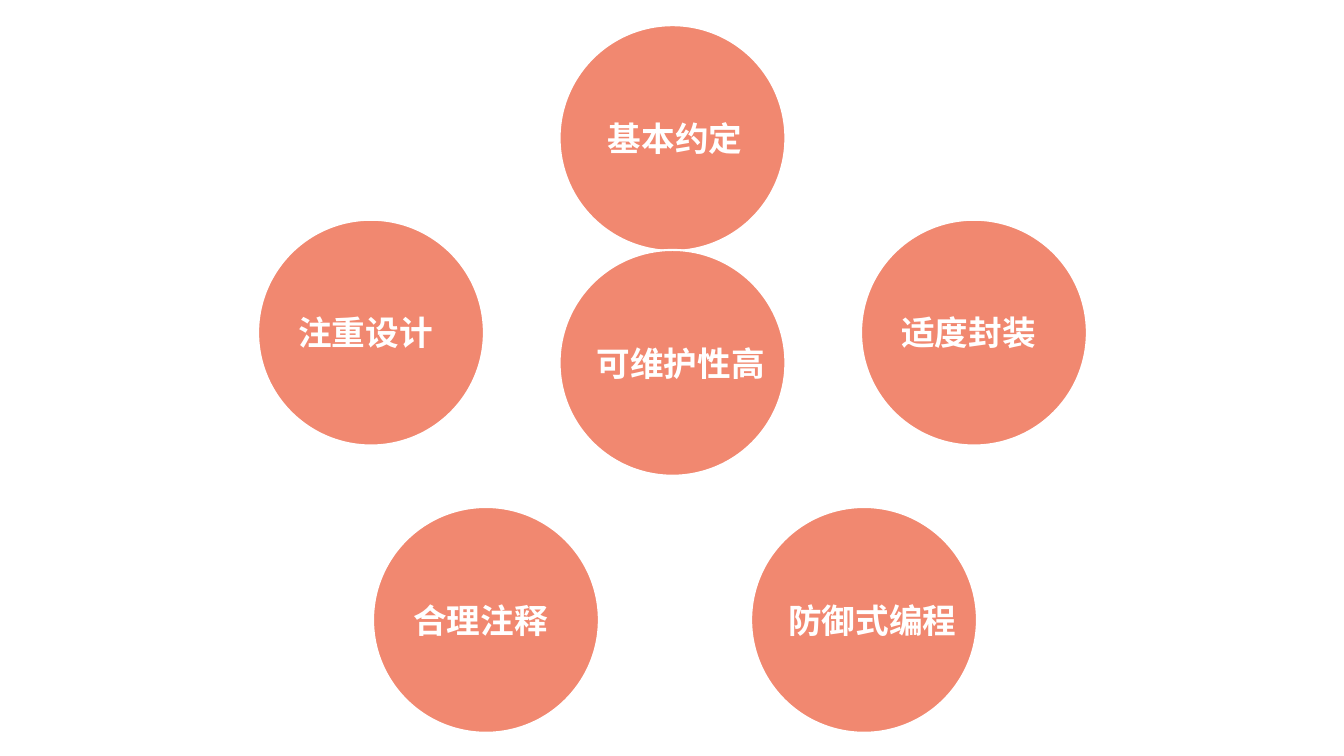
from pptx import Presentation
from pptx.dml.color import RGBColor
from pptx.enum.shapes import MSO_SHAPE
from pptx.enum.text import MSO_AUTO_SIZE
from pptx.util import Inches, Pt

OVAL = MSO_SHAPE.OVAL
GROW = MSO_AUTO_SIZE.SHAPE_TO_FIT_TEXT
COLORS = {"coral": "F18870", "white": "FFFFFF"}
DIAMETER = 2.24
LABEL_DROP = 0.87
LABEL_HEIGHT = 0.5
LABEL_WIDTHS = {4: 1.62, 5: 2.08}

prs = Presentation()
prs.slide_width = Inches(13.33)
prs.slide_height = Inches(7.5)
slide = prs.slides.add_slide(prs.slide_layouts[6])

coral = RGBColor.from_string(COLORS["coral"])
white = RGBColor.from_string(COLORS["white"])

principles = [
    ("基本约定", 5.55, 0.25, 0.38),
    ("适度封装", 8.54, 2.18, 0.3),
    ("防御式编程", 7.45, 5.03, 0.27),
    ("合理注释", 3.7, 5.03, 0.3),
    ("注重设计", 2.56, 2.18, 0.3),
    ("可维护性高", 5.55, 2.48, 0.27),
]

for label, left, top, indent in principles:
    group = slide.shapes.add_group_shape()
    s = group.shapes.add_shape(OVAL, Inches(left), Inches(top),
                               Inches(DIAMETER), Inches(DIAMETER))
    s.shadow.inherit = False
    s.fill.solid()
    s.fill.fore_color.rgb = coral
    s.line.color.rgb = white
    s.line.width = Pt(1.5)

    sp = group.shapes.add_textbox(Inches(left + indent), Inches(top + LABEL_DROP),
                                  Inches(LABEL_WIDTHS[len(label)]), Inches(LABEL_HEIGHT))
    tf = sp.text_frame
    tf.word_wrap = True
    tf.auto_size = GROW
    tf.text = label
    r = tf.paragraphs[0].runs[0]
    r.font.name = "Arial"
    r.font.size = Pt(24)
    r.font.bold = True
    r.font.color.rgb = white

prs.save("out.pptx")
